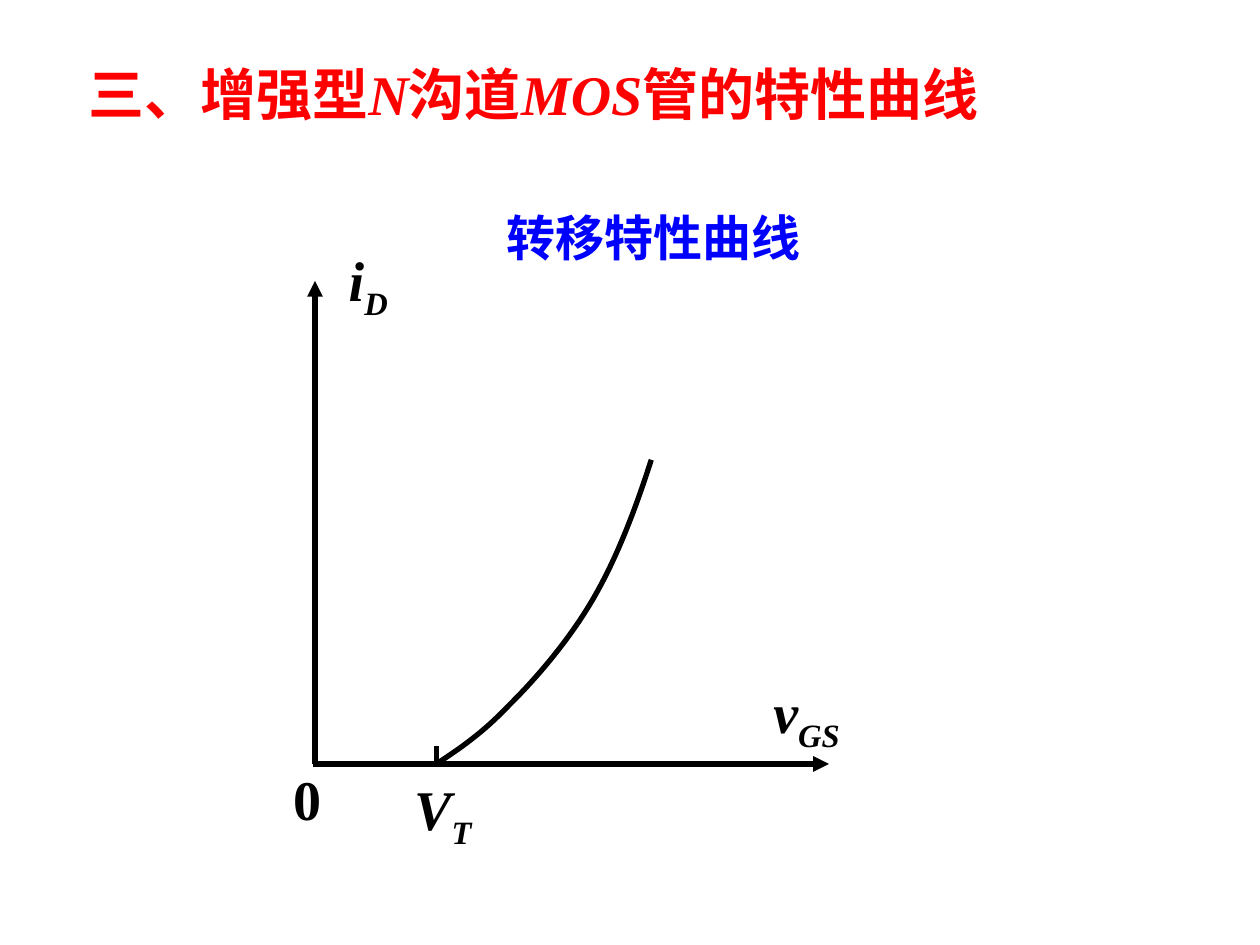
from lxml.etree import SubElement
from pptx import Presentation
from pptx.dml.color import RGBColor
from pptx.enum.shapes import MSO_CONNECTOR
from pptx.enum.text import MSO_ANCHOR, MSO_AUTO_SIZE, PP_ALIGN
from pptx.oxml.ns import qn
from pptx.util import Cm, Pt


def color(hex_value):
    return RGBColor.from_string(hex_value)


def bezier(start, control_1, control_2, end, steps=16):
    for step in range(1, steps + 1):
        t = step / steps
        weights = ((1 - t) ** 3, 3 * t * (1 - t) ** 2, 3 * t ** 2 * (1 - t), t ** 3)
        yield tuple(
            sum(w * value for w, value in zip(weights, axis))
            for axis in zip(start, control_1, control_2, end)
        )


class CurveSlide:
    LATIN = "Times New Roman"
    CHINESE = "Arial"
    INK = "000000"
    LINE_WIDTH = Pt(3)

    def __init__(self, presentation):
        self.slide = presentation.slides.add_slide(presentation.slide_layouts[5])

    def style(self, paragraph, size, ink, name=None, italic=None):
        paragraph.alignment = PP_ALIGN.LEFT
        font = paragraph.font
        font.size, font.bold, font.italic = Pt(size), True, italic
        font.color.rgb = color(ink)
        if name:
            font.name = name

    def title(self, parts, left, top, width, height):
        heading = self.slide.shapes.title
        heading.left, heading.top = Cm(left), Cm(top)
        heading.width, heading.height = Cm(width), Cm(height)
        frame = heading.text_frame
        frame.auto_size = MSO_AUTO_SIZE.NONE
        frame.vertical_anchor = MSO_ANCHOR.MIDDLE
        paragraph = frame.paragraphs[0]
        self.style(paragraph, 32, "FF0000")
        for words in parts:
            run = paragraph.add_run()
            run.text = words
            run.font.italic = words.isascii()
            run.font.name = self.LATIN if words.isascii() else self.CHINESE

    def text(self, words, left, top, width, height):
        box = self.slide.shapes.add_textbox(Cm(left), Cm(top), Cm(width), Cm(height))
        box.text_frame.word_wrap = True
        paragraph = box.text_frame.paragraphs[0]
        paragraph.add_run().text = words
        return paragraph

    def caption(self, words, *place):
        paragraph = self.text(words, *place)
        paragraph.line_spacing = 0.6
        self.style(paragraph, 28, "0000FF", self.CHINESE)

    def symbol(self, letter, subscript, *place):
        paragraph = self.text(letter, *place)
        self.style(paragraph, 32, self.INK, self.LATIN, bool(subscript))
        if subscript:
            run = paragraph.add_run()
            run.text = subscript
            run.font._element.set("baseline", "-25000")

    def line(self, start, end, arrow=False):
        points = [Cm(value) for value in (*start, *end)]
        stroke = self.slide.shapes.add_connector(MSO_CONNECTOR.STRAIGHT, *points)
        stroke.line.width = self.LINE_WIDTH
        stroke.line.color.rgb = color(self.INK)
        if arrow:
            SubElement(stroke.line._get_or_add_ln(), qn("a:tailEnd"), type="triangle")
        SubElement(stroke._element.spPr, qn("a:effectLst"))

    def curve(self, start, segments):
        builder = self.slide.shapes.build_freeform(*map(Cm, start))
        for segment in segments:
            points = bezier(start, *segment)
            builder.add_line_segments([(Cm(x), Cm(y)) for x, y in points], close=False)
            start = segment[-1]
        trace = builder.convert_to_shape()
        trace.shadow.inherit = False
        trace.fill.background()
        trace.line.width = self.LINE_WIDTH
        trace.line.color.rgb = color(self.INK)


def main():
    presentation = Presentation()
    presentation.slide_width, presentation.slide_height = Cm(25.4), Cm(19.05)
    page = CurveSlide(presentation)

    page.title(["三、增强型", "N", "沟道", "MOS", "管的特性曲线"], 1.52, 1.07, 20.62, 1.63)
    page.caption("转移特性曲线", 9.96, 4.47, 8.2, 0.97)

    axis_x, axis_y, threshold_x = 6.35, 15.4, 8.8
    page.line((axis_x, axis_y), (axis_x, 5.66), arrow=True)
    page.line((axis_x - 0.05, axis_y), (16.71, axis_y), arrow=True)
    page.line((threshold_x, 15.04), (threshold_x, 15.34))

    page.symbol("0", "", 5.66, 15.29, 2, 1.63)
    page.symbol("i", "D", 6.78, 4.83, 2, 1.8)
    page.symbol("v", "GS", 15.34, 13.54, 3.12, 1.8)
    page.symbol("V", "T", 8.1, 15.49, 3.18, 1.8)

    page.curve((threshold_x, axis_y), [
        ((9.27, 15.09), (9.73, 14.78), (10.26, 14.22)),
        ((10.8, 13.69), (11.48, 12.9), (11.96, 12.07)),
        ((12.45, 11.23), (12.83, 10.21), (13.13, 9.27)),
    ])
    presentation.save("out.pptx")


if __name__ == "__main__":
    main()
